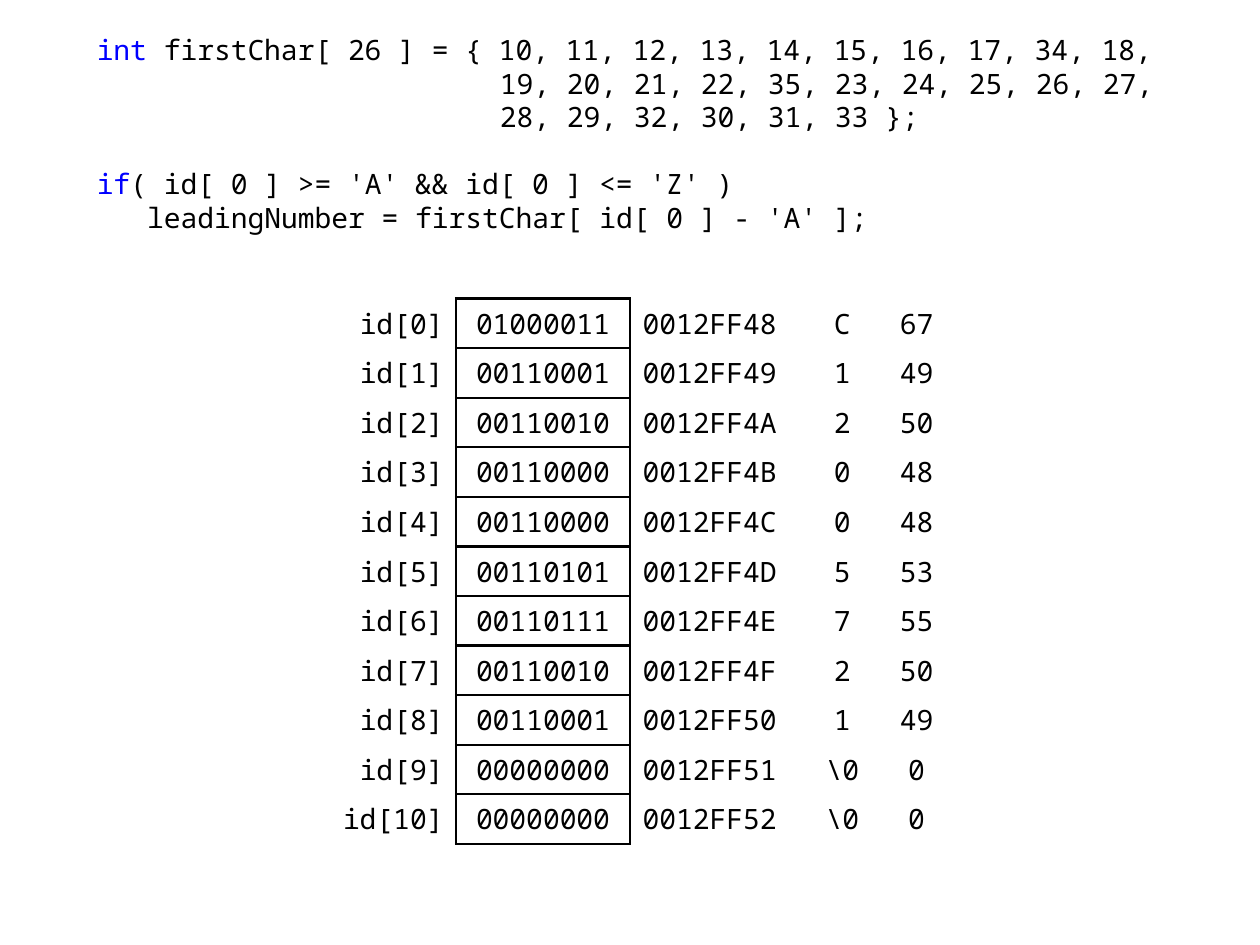
from typing import NamedTuple

import pptx
import pptx.dml.color
import pptx.enum.text
import pptx.oxml
import pptx.oxml.ns
import pptx.util
from pptx.util import Inches

COLORS = {"text": "000000", "keyword": "0000FF", "paper": "FFFFFF", "border": "000000"}
FONT = "Noto Sans Mono"
FONT_SIZE = 16
CHAR_WIDTH = 0.6 * FONT_SIZE / 72  # inches per monospaced character
CODE_LINE_HEIGHT = 19.2  # points

LEFT = pptx.enum.text.PP_ALIGN.LEFT
CENTER = pptx.enum.text.PP_ALIGN.CENTER
RIGHT = pptx.enum.text.PP_ALIGN.RIGHT


class CodeLine(NamedTuple):
    text: str
    keyword: str = ""
    indent: int = 0  # characters
    lines_before: int = 0


class Column(NamedTuple):
    width: float
    align: pptx.enum.text.PP_ALIGN
    borders: str = ""  # sides that carry a line, out of L, R, T and B
    filled: bool = True
    margin_right: float = 0.08


CODE = [
    CodeLine("firstChar[ 26 ] = { 10, 11, 12, 13, 14, 15, 16, 17, 34, 18,", keyword="int "),
    CodeLine("19, 20, 21, 22, 35, 23, 24, 25, 26, 27,", indent=24),
    CodeLine("28, 29, 32, 30, 31, 33 };", indent=24),
    CodeLine("( id[ 0 ] >= 'A' && id[ 0 ] <= 'Z' )", keyword="if", lines_before=1),
    CodeLine("leadingNumber = firstChar[ id[ 0 ] - 'A' ];", indent=3),
]

COLUMNS = [
    Column(1.18, RIGHT, borders="R", filled=False, margin_right=0.1),
    Column(1.38, CENTER, borders="LRTB", margin_right=0.1),
    Column(1.38, LEFT, borders="L"),
    Column(0.59, CENTER),
    Column(0.59, CENTER),
]

ID_CHARS = "C12005721\0\0"
BASE_ADDRESS = 0x0012FF48
TABLE_HEIGHT = 4.33


def add_text(paragraph, text: str, *, color: str = "text", size: float = FONT_SIZE) -> None:
    run = paragraph.add_run()
    run.text = text
    run.font.name = FONT
    run.font.size = pptx.util.Pt(size)
    run.font.color.rgb = pptx.dml.color.RGBColor.from_string(COLORS[color])


def add_xml(parent, xml: str) -> None:
    """Append a DrawingML fragment whose root tag takes the namespace at {ns}."""
    parent.append(pptx.oxml.parse_xml(xml.format(ns=pptx.oxml.ns.nsdecls("a"))))


def add_code(slide, lines: list[CodeLine]) -> None:
    box = slide.shapes.add_textbox(Inches(0.67), Inches(0.21), Inches(8.66), Inches(1.77))
    frame = box.text_frame
    frame.word_wrap = True
    for index, line in enumerate(lines):
        paragraph = frame.add_paragraph() if index else frame.paragraphs[0]
        if line.indent:
            properties = paragraph._p.get_or_add_pPr()
            properties.set("marL", str(Inches(line.indent * CHAR_WIDTH)))
            properties.set("indent", "0")
        if line.lines_before:
            paragraph.space_before = pptx.util.Pt(line.lines_before * CODE_LINE_HEIGHT)
        if line.keyword:
            add_text(paragraph, line.keyword, color="keyword")
        add_text(paragraph, line.text)


def memory_row(index: int, char: str) -> list[str]:
    code = ord(char)
    shown = char if code else "\\0"
    return [f"id[{index}]", f"{code:08b}", f"{BASE_ADDRESS + index:08X}", shown, str(code)]


def set_borders(cell, sides: str) -> None:
    line = f'<a:solidFill><a:srgbClr val="{COLORS["border"]}"/></a:solidFill>'
    for side in "LRTB":
        paint = line if side in sides else "<a:noFill/>"
        add_xml(cell._tc.get_or_add_tcPr(),
                f'<a:ln{side} {{ns}} w="{pptx.util.Pt(1.5)}">{paint}</a:ln{side}>')


def format_cell(cell, text: str, column: Column) -> None:
    cell.vertical_anchor = pptx.enum.text.MSO_ANCHOR.MIDDLE
    cell.margin_left = Inches(0.1)
    cell.margin_right = Inches(column.margin_right)
    cell.margin_top = cell.margin_bottom = Inches(0.04)
    set_borders(cell, column.borders)
    if column.filled:
        cell.fill.solid()
        cell.fill.fore_color.rgb = pptx.dml.color.RGBColor.from_string(COLORS["paper"])
    else:
        cell.fill.background()
    paragraph = cell.text_frame.paragraphs[0]
    paragraph.alignment = column.align
    add_xml(paragraph._p.get_or_add_pPr(),
            '<a:spcBef {ns}><a:spcPct val="50000"/></a:spcBef>')
    add_text(paragraph, text)


def add_memory_table(slide) -> None:
    rows = [memory_row(index, char) for index, char in enumerate(ID_CHARS)]
    width = sum(column.width for column in COLUMNS)
    table = slide.shapes.add_table(len(rows), len(COLUMNS), Inches(2.44), Inches(2.37),
                                   Inches(width), Inches(TABLE_HEIGHT)).table
    table.first_row = table.horz_banding = False
    for table_column, column in zip(table.columns, COLUMNS):
        table_column.width = Inches(column.width)
    for row_index, row in enumerate(rows):
        table.rows[row_index].height = Inches(TABLE_HEIGHT / len(rows))
        for column_index, (text, column) in enumerate(zip(row, COLUMNS)):
            format_cell(table.cell(row_index, column_index), text, column)


def main() -> None:
    presentation = pptx.Presentation()
    presentation.slide_width = Inches(10)
    presentation.slide_height = Inches(7.5)
    slide = presentation.slides.add_slide(presentation.slide_layouts[6])
    add_memory_table(slide)
    add_code(slide, CODE)
    presentation.save("out.pptx")


if __name__ == "__main__":
    main()
